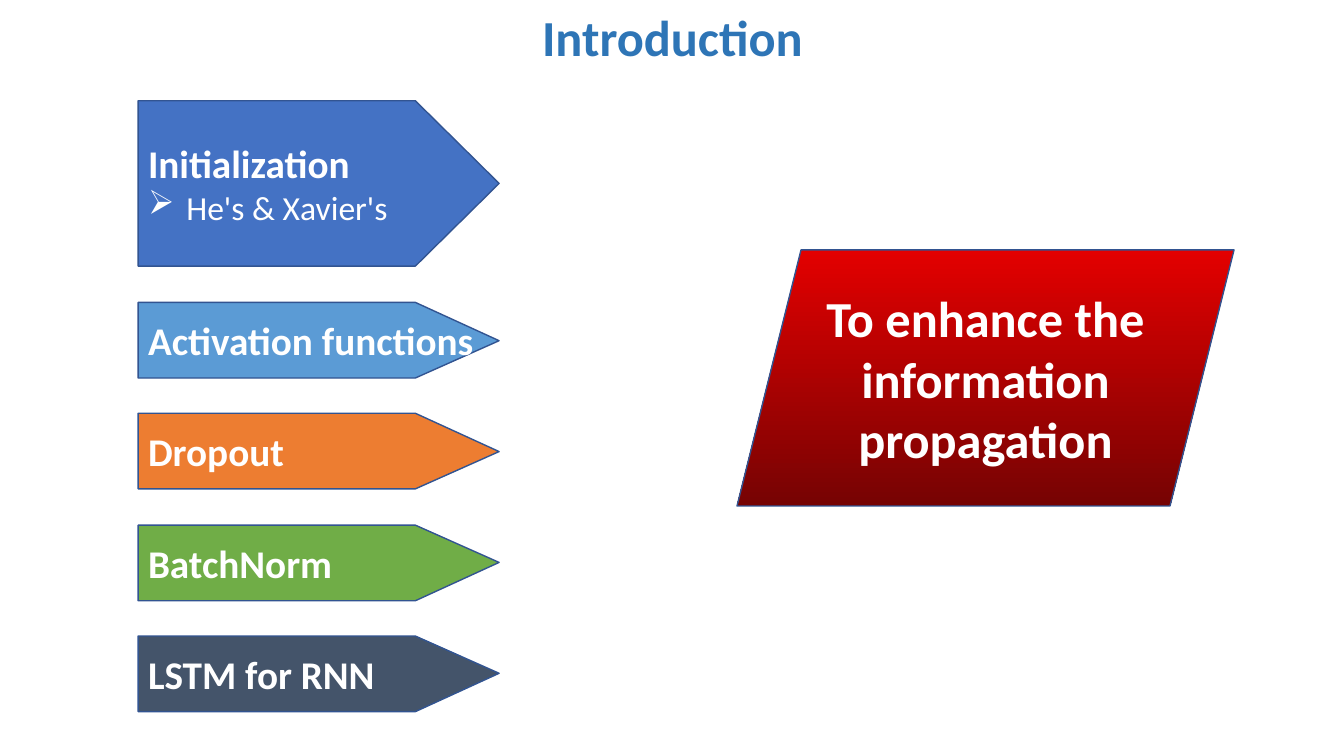
import pptx
import pptx.dml.color
import pptx.enum.shapes
import pptx.enum.text
import pptx.util
from lxml import etree
from pptx.oxml.ns import qn

# Content: label, fill colour name, sub-point
TITLE = "Introduction"
TOPICS = [
    ("Initialization", "blue", "He's & Xavier's"),
    ("Activation functions", "sky", None),
    ("Dropout", "orange", None),
    ("BatchNorm", "green", None),
    ("LSTM for RNN", "slate", None),
]
GOAL = "To enhance the information propagation"

THEME = {
    "font": "Calibri", "title_size": 36, "topic_size": 28, "sub_size": 24, "goal_size": 36,
    "title": "2E75B6", "text": "FFFFFF", "line": "325491",
    "blue": "4472C4", "sky": "5B9BD5", "orange": "ED7D31", "green": "70AD47", "slate": "44546A",
    "goal_top": "E30000", "goal_bottom": "760303",
}

# Layout, in px (100 to the inch)
PX = 9144
SLIDE = (1333, 750)
TITLE_BOX = (92, 0, 1150, 79)
GOAL_BOX = (731, 248, 493, 254)
ARROW_LEFT, ARROW_WIDTH, TIP_WIDTH = 137, 358, 83
FIRST_TOP, FIRST_HEIGHT = 100, 164
ROWS_TOP, ROWS_BOTTOM, ROW_HEIGHT = 300, 706, 75
SUB_INDENT = 38

ALIGN = pptx.enum.text.PP_ALIGN


def emu(*lengths):
    return [pptx.util.Emu(n * PX) for n in lengths]


def color(name):
    return pptx.dml.color.RGBColor.from_string(THEME[name])


def write(p, text, size, ink="text", bold=True, align=ALIGN.CENTER):
    p.alignment = align
    r = p.add_run()
    r.text = text
    r.font.name = THEME["font"]
    r.font.size = pptx.util.Pt(THEME[size])
    r.font.bold = bold
    r.font.color.rgb = color(ink)


def finish(sp):
    sp.shadow.inherit = False
    sp.line.color.rgb = color("line")
    sp.line.width = pptx.util.Pt(1)
    tf = sp.text_frame
    tf.word_wrap = True
    tf.vertical_anchor = pptx.enum.text.MSO_ANCHOR.MIDDLE
    return tf


def add_arrow(s, top, height, fill):
    neck, tip = ARROW_LEFT + ARROW_WIDTH - TIP_WIDTH, ARROW_LEFT + ARROW_WIDTH
    outline = s.shapes.build_freeform(ARROW_LEFT, top, scale=PX)
    outline.add_line_segments([
        (neck, top), (tip, top + height / 2), (neck, top + height), (ARROW_LEFT, top + height),
    ])
    sp = outline.convert_to_shape()
    sp.fill.solid()
    sp.fill.fore_color.rgb = color(fill)
    return finish(sp)


def add_bullet(p):
    pPr = p._p.get_or_add_pPr()
    pPr.set("marL", str(SUB_INDENT * PX))
    pPr.set("indent", str(-SUB_INDENT * PX))
    etree.SubElement(pPr, qn("a:buChar")).set("char", "➢")


def main():
    prs = pptx.Presentation()
    prs.slide_width, prs.slide_height = emu(*SLIDE)
    s = prs.slides.add_slide(prs.slide_layouts[6])

    # Title
    tf = s.shapes.add_textbox(*emu(*TITLE_BOX)).text_frame
    tf.word_wrap = True
    tf.vertical_anchor = pptx.enum.text.MSO_ANCHOR.MIDDLE
    p = tf.paragraphs[0]
    p.line_spacing = 0.9
    write(p, TITLE, "title_size", ink="title")

    # Topic arrows: a tall one, then evenly spread rows
    pitch = (ROWS_BOTTOM - ROW_HEIGHT - ROWS_TOP) / (len(TOPICS) - 2)
    for i, (label, fill, sub) in enumerate(TOPICS):
        if i == 0:
            top, height = FIRST_TOP, FIRST_HEIGHT
        else:
            top, height = round(ROWS_TOP + (i - 1) * pitch), ROW_HEIGHT
        tf = add_arrow(s, top, height, fill)
        write(tf.paragraphs[0], label, "topic_size", align=ALIGN.LEFT)
        if sub:
            p = tf.add_paragraph()
            write(p, sub, "sub_size", bold=False, align=ALIGN.LEFT)
            add_bullet(p)

    # Goal
    sp = s.shapes.add_shape(pptx.enum.shapes.MSO_SHAPE.PARALLELOGRAM, *emu(*GOAL_BOX))
    sp.fill.gradient()
    sp.fill.gradient_angle = 270
    for stop, name in zip(sp.fill.gradient_stops, ("goal_top", "goal_bottom")):
        stop.color.rgb = color(name)
    write(finish(sp).paragraphs[0], GOAL, "goal_size")

    prs.save("out.pptx")


if __name__ == "__main__":
    main()
